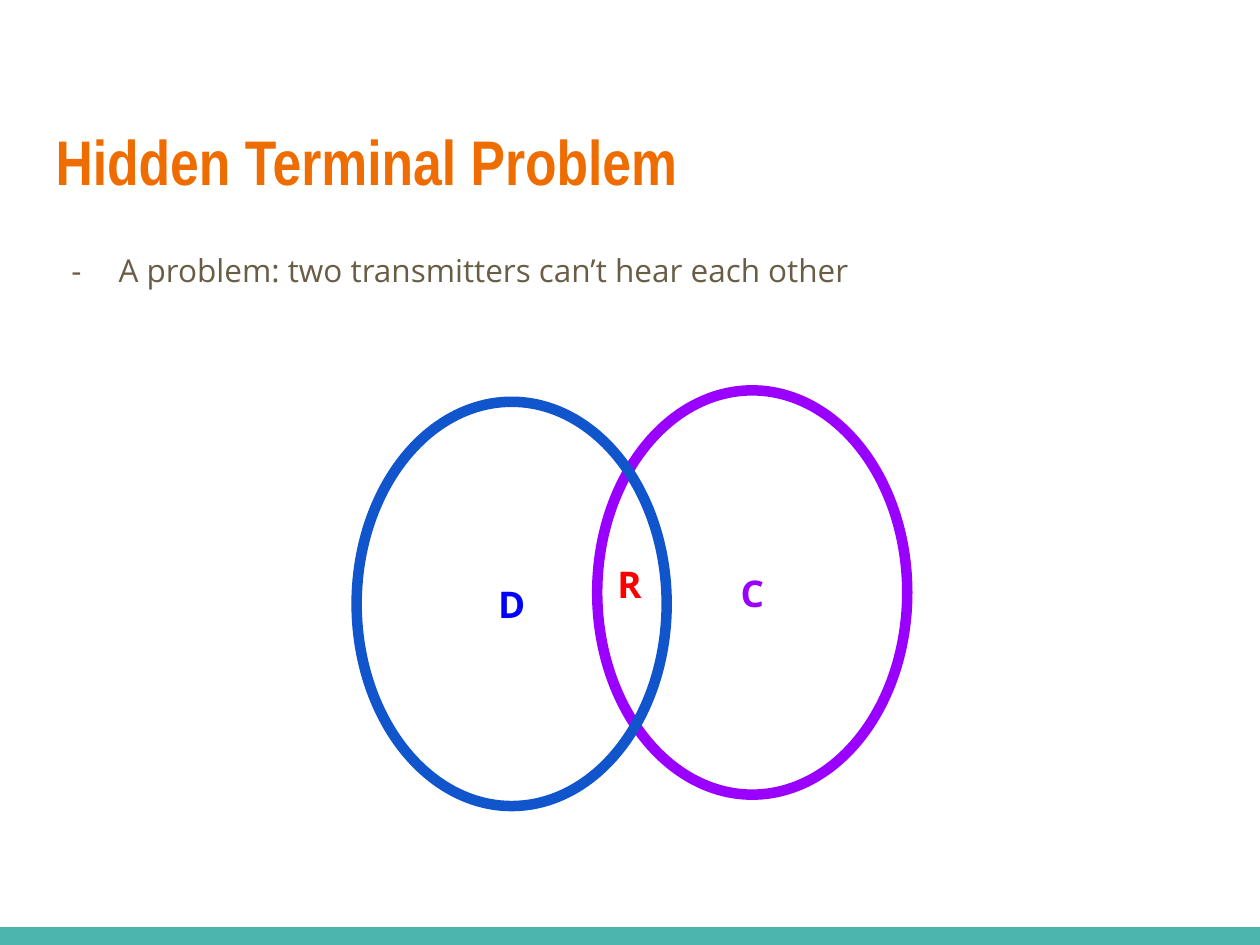
from dataclasses import dataclass

from lxml.etree import SubElement
from pptx import Presentation
from pptx.dml.color import RGBColor
from pptx.enum.shapes import MSO_SHAPE
from pptx.enum.text import MSO_ANCHOR as Anchor, MSO_AUTO_SIZE as AutoSize, PP_ALIGN as Align
from pptx.oxml.ns import qn
from pptx.util import Cm, Pt


@dataclass(frozen=True)
class Theme:
    """Fonts, colours and type sizes of the slide."""
    heading_font: str = "Arial Narrow"
    text_font: str = "Open Sans"
    heading: str = "EF6C00"
    text: str = "695D46"
    footer: str = "4DB6AC"
    heading_size: int = 36
    text_size: int = 18
    label_size: int = 21
    ring_width: int = 6


@dataclass(frozen=True)
class Station:
    """A labelled ellipse, measured in centimetres, with an optional ring."""
    label: str
    color: str
    left: float
    top: float
    width: float = 6.25
    height: float = 8.15
    ring: str | None = None


THEME = Theme()
STATIONS = (
    Station("R", "FF0000", 10.01, 8.59, 5.36, 6.35),
    Station("C", "9900FF", 12.04, 7.87, ring="9900FF"),
    Station("D", "0000FF", 7.19, 8.1, ring="1155CC"),
)


def place(s, left: float, top: float, width: float, height: float) -> None:
    """Move and size a shape in centimetres."""
    s.left, s.top, s.width, s.height = Cm(left), Cm(top), Cm(width), Cm(height)


def write(s, text: str, font: str, size: int, color: str, bold: bool = False,
          align=Align.LEFT, anchor=Anchor.TOP):
    """Fill a shape with one formatted paragraph and return it."""
    tf = s.text_frame
    tf.text = text
    tf.word_wrap = True
    tf.auto_size = AutoSize.NONE
    tf.vertical_anchor = anchor
    tf.margin_left = tf.margin_right = tf.margin_top = tf.margin_bottom = Cm(0.25)
    p = tf.paragraphs[0]
    p.alignment = align
    p.space_before = Pt(0)
    f = p.runs[0].font
    f.name, f.size, f.bold = font, Pt(size), bold
    f.color.rgb = RGBColor.from_string(color)
    return p


def add_dash(p, color: str, font: str) -> None:
    """Give a paragraph a hanging dash bullet."""
    pPr = p._p.get_or_add_pPr()
    pPr.set("marL", str(Cm(1.27)))
    pPr.set("indent", str(Cm(-0.95)))
    SubElement(SubElement(pPr, qn("a:buClr")), qn("a:srgbClr"), val=color)
    SubElement(pPr, qn("a:buFont"), typeface=font)
    SubElement(pPr, qn("a:buChar"), char="-")


def add_footer(slide) -> None:
    """Draw the coloured strip along the bottom edge."""
    s = slide.shapes.add_shape(MSO_SHAPE.RECTANGLE, 0, Cm(18.69), Cm(25.4), Cm(0.36))
    s.shadow.inherit = False
    s.fill.solid()
    s.fill.fore_color.rgb = RGBColor.from_string(THEME.footer)
    s.line.fill.background()


def add_station(slide, station: Station) -> None:
    """Draw one unfilled ellipse with its centred label."""
    s = slide.shapes.add_shape(MSO_SHAPE.OVAL, Cm(station.left), Cm(station.top),
                               Cm(station.width), Cm(station.height))
    s.shadow.inherit = False
    s.fill.background()
    if station.ring:
        s.line.color.rgb = RGBColor.from_string(station.ring)
        s.line.width = Pt(THEME.ring_width)
    else:
        s.line.fill.background()
    write(s, station.label, THEME.text_font, THEME.label_size, station.color,
          True, Align.CENTER, Anchor.MIDDLE)


def main() -> None:
    """Build and save the slide."""
    prs = Presentation()
    prs.slide_width, prs.slide_height = Cm(25.4), Cm(19.05)
    slide = prs.slides.add_slide(prs.slide_layouts[1])
    add_footer(slide)

    title, body = slide.shapes.title, slide.placeholders[1]
    place(title, 0.87, 2.21, 23.67, 3.5)
    write(title, "Hidden Terminal Problem", THEME.heading_font,
          THEME.heading_size, THEME.heading, True)
    place(body, 0.87, 4.7, 23.67, 3)
    p = write(body, "A problem: two transmitters can’t hear each other",
              THEME.text_font, THEME.text_size, THEME.text)
    p.line_spacing = 1.15
    add_dash(p, THEME.text, THEME.text_font)

    for station in STATIONS:
        add_station(slide, station)
    prs.save("out.pptx")


if __name__ == "__main__":
    main()
